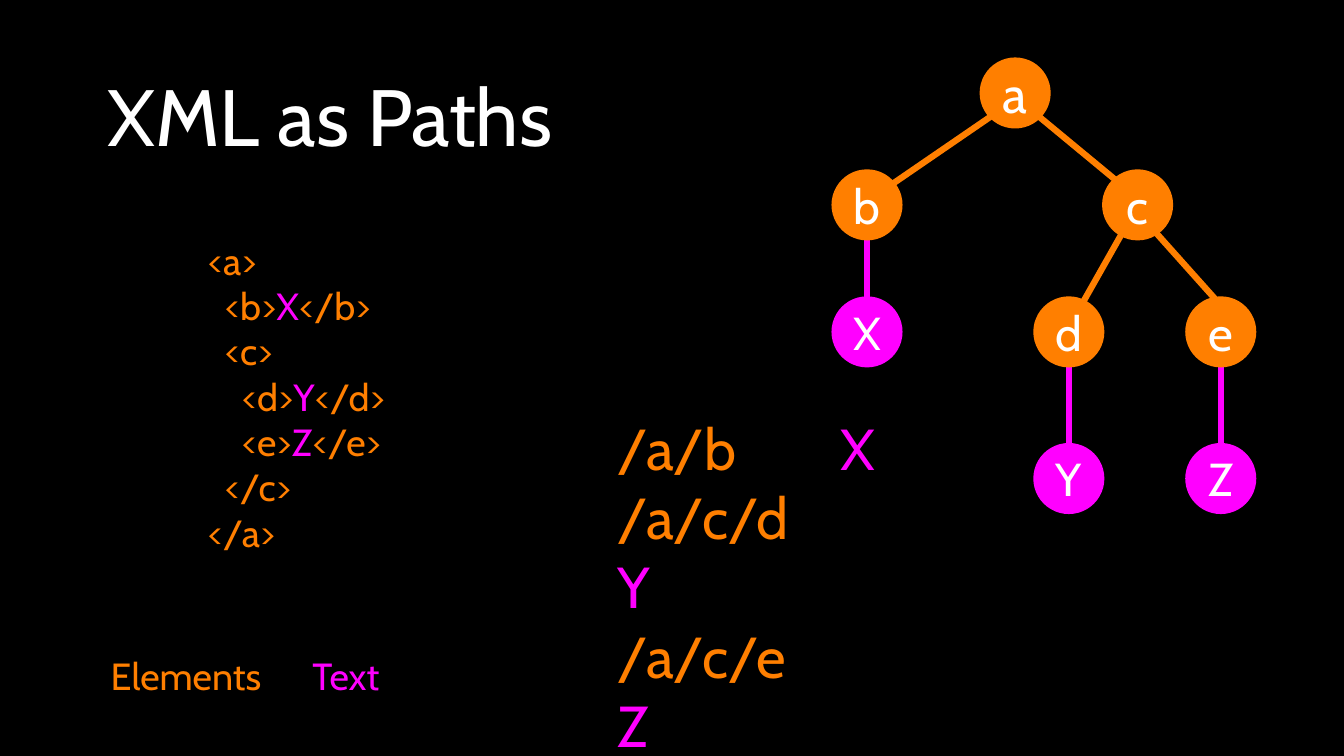
from pptx import Presentation
from pptx.dml.color import RGBColor
from pptx.enum.shapes import MSO_CONNECTOR, MSO_SHAPE
from pptx.enum.text import MSO_ANCHOR, PP_ALIGN
from pptx.oxml.ns import qn
from pptx.util import Inches, Pt
from lxml import etree

OVAL = MSO_SHAPE.OVAL
STRAIGHT = MSO_CONNECTOR.STRAIGHT
MIDDLE = MSO_ANCHOR.MIDDLE
LEFT, CENTER = PP_ALIGN.LEFT, PP_ALIGN.CENTER

FONT = "Cabin"
BLACK, WHITE = "000000", "FFFFFF"
ELEMENT, TEXT = "FF7F00", "FF00FF"
NODE_SIZE = 0.94


def color(value):
    return RGBColor.from_string(value)


def write(shape, lines, size, alignment=LEFT, margin=0):
    frame = shape.text_frame
    frame.word_wrap = True
    frame.vertical_anchor = MIDDLE
    frame.margin_left = frame.margin_right = Inches(margin)
    frame.margin_top = frame.margin_bottom = Inches(margin)
    frame.text = "\n".join("" for _ in lines)
    for paragraph, pieces in zip(frame.paragraphs, lines):
        paragraph.alignment = alignment
        for words, shade in pieces:
            if words == "\v":
                paragraph.add_line_break()
                continue
            run = paragraph.add_run()
            run.text = words
            run.font.name = FONT
            run.font.size = Pt(size)
            run.font.color.rgb = color(shade)


presentation = Presentation()
presentation.slide_width = Inches(17.78)
presentation.slide_height = Inches(10)
slide = presentation.slides.add_slide(presentation.slide_layouts[5])
slide.background.fill.solid()
slide.background.fill.fore_color.rgb = color(BLACK)
shapes = slide.shapes

title = shapes.title
title.left, title.top = Inches(1.26), Inches(0.26)
title.width, title.height = Inches(6.21), Inches(2.51)
write(title, [[("XML as Paths", WHITE)]], 76, CENTER, 0.04)

code_lines = [
    [("<a>", ELEMENT)],
    [("  <b>", ELEMENT), ("X", TEXT), ("</b>", ELEMENT)],
    [("  <c>", ELEMENT)],
    [("    <d>", ELEMENT), ("Y", TEXT), ("</d>", ELEMENT)],
    [("    <e>", ELEMENT), ("Z", TEXT), ("</e>", ELEMENT)],
    [("  </c>", ELEMENT)],
    [("</a>", ELEMENT)],
]
code = shapes.add_textbox(Inches(2.75), Inches(3.12), Inches(2.7), Inches(4.24))
write(code, code_lines, 36)

edges = [
    (11.47, 3.01, 11.47, 4.14, TEXT),
    (14.14, 4.77, 14.14, 5.9, TEXT),
    (16.15, 4.77, 16.15, 5.9, TEXT),
    (13.27, 1.43, 11.68, 2.52, ELEMENT),
    (13.67, 1.48, 14.83, 2.44, ELEMENT),
    (14.87, 3.04, 14.27, 4.1, ELEMENT),
    (15.24, 3.02, 16.08, 3.96, ELEMENT),
]
for *ends, shade in edges:
    edge = shapes.add_connector(STRAIGHT, *[Inches(value) for value in ends])
    edge.line.color.rgb = color(shade)
    edge.line.width = Pt(6)
    etree.SubElement(edge._element.spPr, qn("a:effectLst"))

nodes = [
    ("a", 12.96, 0.76, ELEMENT, 49),
    ("b", 11, 2.24, ELEMENT, 46),
    ("c", 14.58, 2.24, ELEMENT, 46),
    ("X", 11, 3.92, TEXT, 44),
    ("d", 13.67, 3.92, ELEMENT, 46),
    ("e", 15.68, 3.92, ELEMENT, 46),
    ("Y", 13.67, 5.86, TEXT, 44),
    ("Z", 15.68, 5.86, TEXT, 44),
]
for name, left, top, shade, size in nodes:
    node = shapes.add_shape(
        OVAL, Inches(left), Inches(top), Inches(NODE_SIZE), Inches(NODE_SIZE))
    node.shadow.inherit = False
    node.fill.solid()
    node.fill.fore_color.rgb = color(shade)
    node.line.fill.background()
    write(node, [[(name, WHITE)]], size, CENTER)

path_lines = [
    [("/a/b\t", ELEMENT), ("X", TEXT)],
    [("/a/c/d", ELEMENT), ("\v", TEXT), ("Y", TEXT)],
    [("/a/c/e", ELEMENT), ("\v", TEXT), ("Z", TEXT)],
]
paths = shapes.add_textbox(Inches(8.17), Inches(6.38), Inches(3.5), Inches(2.74))
write(paths, path_lines, 55)
properties = paths.text_frame.paragraphs[0]._p.get_or_add_pPr()
tabs = etree.SubElement(properties, qn("a:tabLst"))
etree.SubElement(tabs, qn("a:tab"), pos=str(Inches(2.95)), algn="l")

for label, left, width, shade in [("Elements", 1.3, 2.32, ELEMENT),
                                  ("Text", 4.07, 1.01, TEXT)]:
    legend = shapes.add_textbox(Inches(left), Inches(8.6), Inches(width), Inches(0.68))
    write(legend, [[(label, shade)]], 36, CENTER)

presentation.save("out.pptx")
